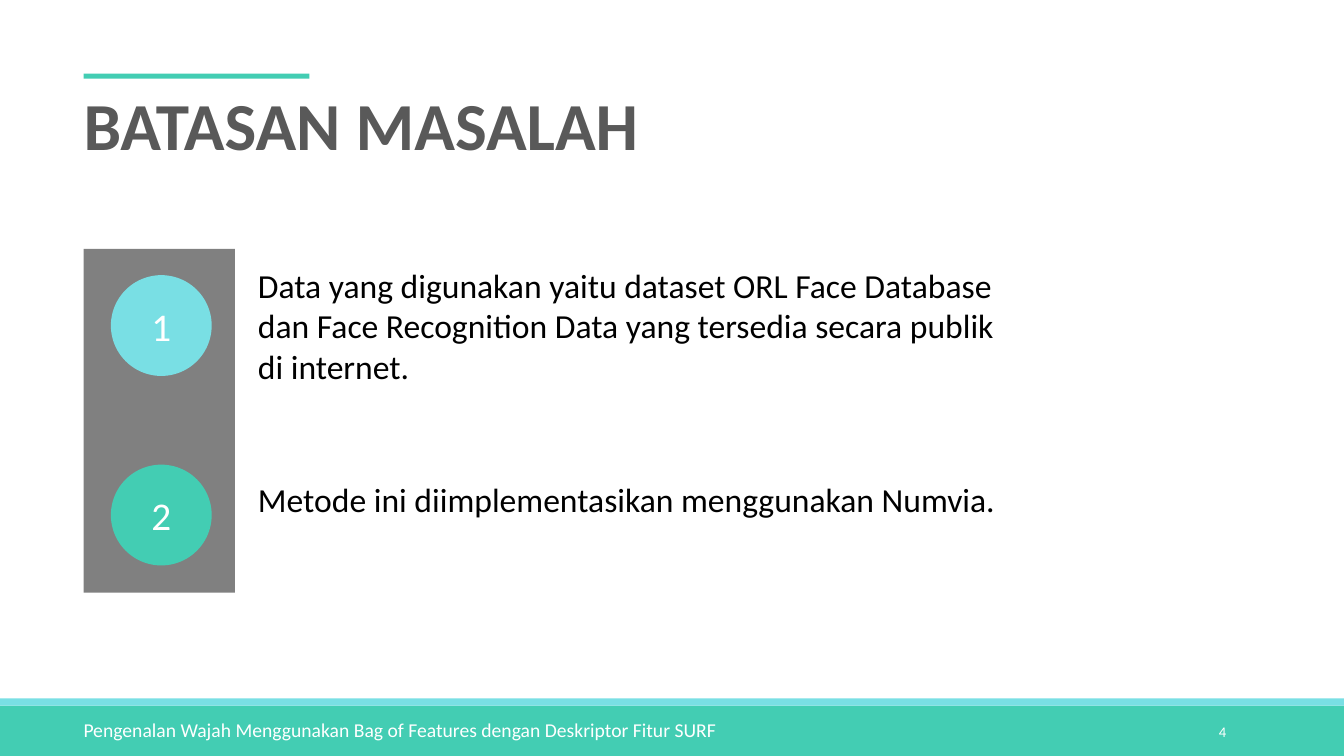
from pptx import Presentation
from pptx.dml.color import RGBColor
from pptx.enum.shapes import MSO_SHAPE
from pptx.enum.text import MSO_ANCHOR, PP_ALIGN
from pptx.util import Inches, Pt

RECTANGLE, OVAL = MSO_SHAPE.RECTANGLE, MSO_SHAPE.OVAL
TOP, MIDDLE = MSO_ANCHOR.TOP, MSO_ANCHOR.MIDDLE
LEFT, CENTER, RIGHT = PP_ALIGN.LEFT, PP_ALIGN.CENTER, PP_ALIGN.RIGHT

# Content
TITLE = "BATASAN MASALAH"
LIMITATIONS = [
    # text, badge colour, text top relative to badge, text width, text height
    ("Data yang digunakan yaitu dataset ORL Face Database dan Face "
     "Recognition Data yang tersedia secara publik di internet.",
     "aqua", -0.15, 7.54, 1.72),
    ("Metode ini diimplementasikan menggunakan Numvia.",
     "green", 0.09, 9.75, 0.91),
]
FOOTER = "Pengenalan Wajah Menggunakan Bag of Features dengan Deskriptor Fitur SURF"
PAGE_NUMBER = "4"

THEME = {
    "font": "Calibri",
    "colors": {"green": "43CDB3", "aqua": "79DFE4", "gray": "808080",
               "title": "595959", "body": "000000", "white": "FFFFFF"},
    "sizes": {"title": 48, "badge": 28, "body": 24, "footer": 14, "page": 10.5},
}

# Layout in inches
WIDTH, HEIGHT = 13.33, 7.5
MARGIN = 0.83
INSET = 0.1
FOOTER_TOP, STRIP_HEIGHT = 7, 0.07
PANEL_TOP, PANEL_WIDTH, PANEL_HEIGHT = 2.47, 1.5, 3.41
BADGE_LEFT, BADGE_TOP, BADGE_SIZE, BADGE_STEP = 1.1, 2.73, 1, 1.88
BODY_LEFT = 2.46

presentation = Presentation()
presentation.slide_width = Inches(WIDTH)
presentation.slide_height = Inches(HEIGHT)
slide = presentation.slides.add_slide(presentation.slide_layouts[6])


def color(name):
    return RGBColor.from_string(THEME["colors"][name])


def write(shape, text, *, size, ink="white", bold=False, align=LEFT, anchor=TOP):
    frame = shape.text_frame
    frame.word_wrap = True
    frame.vertical_anchor = anchor
    paragraph = frame.paragraphs[0]
    paragraph.alignment = align
    run = paragraph.add_run()
    run.text = text
    run.font.name = THEME["font"]
    run.font.size = Pt(THEME["sizes"][size])
    run.font.bold = bold
    run.font.color.rgb = color(ink)


def add_block(box, fill, kind=RECTANGLE):
    shape = slide.shapes.add_shape(kind, *map(Inches, box))
    shape.shadow.inherit = False
    shape.fill.solid()
    shape.fill.fore_color.rgb = color(fill)
    shape.line.fill.background()
    return shape


def add_text(box, text, **text_format):
    write(slide.shapes.add_textbox(*map(Inches, box)), text, **text_format)


# Footer band, numbered panel and title accent
add_block((0, FOOTER_TOP, WIDTH, HEIGHT - FOOTER_TOP), "green")
add_block((0, FOOTER_TOP - STRIP_HEIGHT, WIDTH, STRIP_HEIGHT), "aqua")
add_block((MARGIN, PANEL_TOP, PANEL_WIDTH, PANEL_HEIGHT), "gray")
add_block((MARGIN, 0.73, 2.24, 0.05), "green")

# Title
add_text((MARGIN - INSET, 0.78, 6.62, 0.91), TITLE,
         size="title", ink="title", bold=True)

# Numbered limitations
for index, (text, fill, offset, width, height) in enumerate(LIMITATIONS):
    top = BADGE_TOP + index * BADGE_STEP
    badge = add_block((BADGE_LEFT, top, BADGE_SIZE, BADGE_SIZE), fill, OVAL)
    write(badge, str(index + 1), size="badge", align=CENTER, anchor=MIDDLE)
    add_text((BODY_LEFT, top + offset, width, height), text,
             size="body", ink="body")

# Footer text and page number
add_text((MARGIN - INSET, 7.07, 10.71, 0.34), FOOTER, size="footer")
add_text((10.83, 7.06, 1.43, 0.4), PAGE_NUMBER,
         size="page", align=RIGHT, anchor=MIDDLE)

presentation.save("out.pptx")
